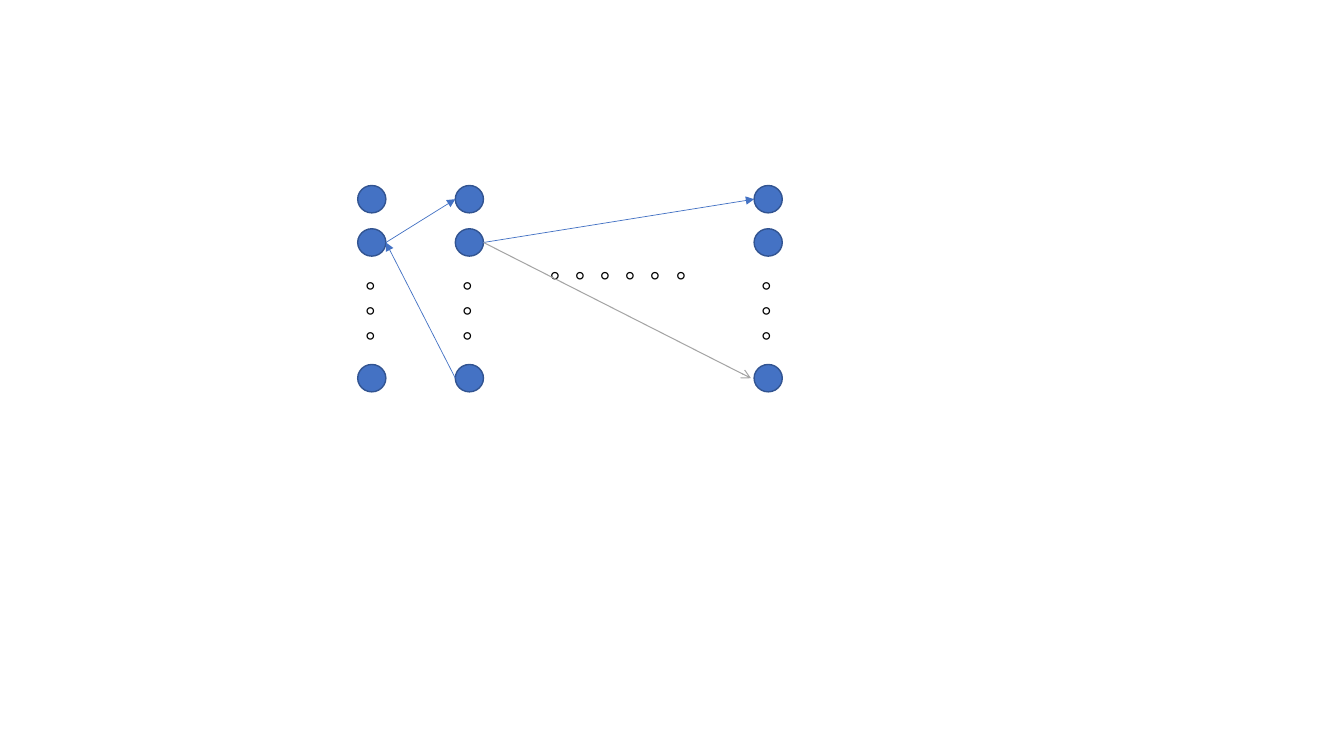
import dataclasses

import pptx
import pptx.dml.color
import pptx.enum.lang
import pptx.enum.shapes
import pptx.enum.text
import pptx.oxml
import pptx.oxml.ns
import pptx.util

Cm = pptx.util.Cm
Pt = pptx.util.Pt


@dataclasses.dataclass(frozen=True)
class Theme:
    node: str = "4472C4"
    node_edge: str = "325491"
    muted: str = "A5A5A5"
    ink: str = "000000"
    font: str = "Noto Sans CJK SC"
    text_size: float = 18
    node_line: float = 1
    link_line: float = 0.5
    muted_line: float = 0.75


# Node layout in centimetres
NODE_WIDTH, NODE_HEIGHT = 0.71, 0.69
COLUMNS = [9.37, 11.83, 19.36]
ROWS = [5.02, 6.11, 9.53]
DOTS_SHIFT, DOTS_ROW = 0.16, 8.18


class Painter:
    def __init__(self, slide, theme):
        self.shapes = slide.shapes
        self.theme = theme

    def color(self, code):
        return pptx.dml.color.RGBColor.from_string(code)

    def node(self, x, y):
        circle = self.shapes.add_shape(
            pptx.enum.shapes.MSO_SHAPE.OVAL,
            Cm(x - NODE_WIDTH / 2), Cm(y - NODE_HEIGHT / 2),
            Cm(NODE_WIDTH), Cm(NODE_HEIGHT))
        circle.shadow.inherit = False
        circle.fill.solid()
        circle.fill.fore_color.rgb = self.color(self.theme.node)
        circle.line.color.rgb = self.color(self.theme.node_edge)
        circle.line.width = Pt(self.theme.node_line)

    def dots(self, x, y, width, text, rotation=0):
        height = 1.02
        box = self.shapes.add_textbox(
            Cm(x - width / 2), Cm(y - height / 2), Cm(width), Cm(height))
        box.rotation = rotation
        frame = box.text_frame
        frame.word_wrap = True
        frame.auto_size = pptx.enum.text.MSO_AUTO_SIZE.SHAPE_TO_FIT_TEXT
        span = frame.paragraphs[0].add_run()
        span.text = text
        span.font.size = Pt(self.theme.text_size)
        span.font.color.rgb = self.color(self.theme.ink)
        span.font.name = self.theme.font
        span.font.language_id = pptx.enum.lang.MSO_LANGUAGE_ID.SIMPLIFIED_CHINESE
        # East Asian glyphs take their own typeface entry
        typeface = pptx.oxml.parse_xml(
            f'<a:ea {pptx.oxml.ns.nsdecls("a")} typeface="{self.theme.font}"/>')
        span.font._element.find(pptx.oxml.ns.qn("a:latin")).addnext(typeface)

    def arrow(self, start, end, color, width, head="triangle"):
        link = self.shapes.add_connector(
            pptx.enum.shapes.MSO_CONNECTOR.STRAIGHT,
            *(Cm(value) for value in (*start, *end)))
        link.line.color.rgb = self.color(color)
        link.line.width = Pt(width)
        names = pptx.oxml.ns.nsdecls("a")
        link.line._get_or_add_ln().append(
            pptx.oxml.parse_xml(f'<a:tailEnd {names} type="{head}"/>'))
        link._element.spPr.append(pptx.oxml.parse_xml(f"<a:effectLst {names}/>"))


def side(column, row, direction):
    """Point on the left (-1) or right (1) edge of a node."""
    return COLUMNS[column] + direction * NODE_WIDTH / 2, ROWS[row]


def main():
    deck = pptx.Presentation()
    deck.slide_width, deck.slide_height = Cm(33.87), Cm(19.05)
    page = deck.slides.add_slide(deck.slide_layouts[6])
    theme = Theme()
    painter = Painter(page, theme)

    # Columns of nodes with vertical dots
    for x in COLUMNS:
        for y in ROWS:
            painter.node(x, y)
        painter.dots(x + DOTS_SHIFT, DOTS_ROW, 2.69, "。。。", rotation=90)

    # Dots between the second and last columns
    painter.dots(16.28, 6.76, 5.33, "。。。。。。")

    # Links between nodes
    links = [
        (side(0, 1, 1), side(1, 0, -1)),
        (side(1, 2, -1), side(0, 1, 1)),
        (side(1, 1, 1), side(2, 0, -1)),
    ]
    for start, end in links:
        painter.arrow(start, end, theme.node, theme.link_line)

    # Muted link stops just before the last node
    x, y = side(2, 2, -1)
    painter.arrow(side(1, 1, 1), (x - 0.08, y),
                  theme.muted, theme.muted_line, head="arrow")

    deck.save("out.pptx")


if __name__ == "__main__":
    main()
